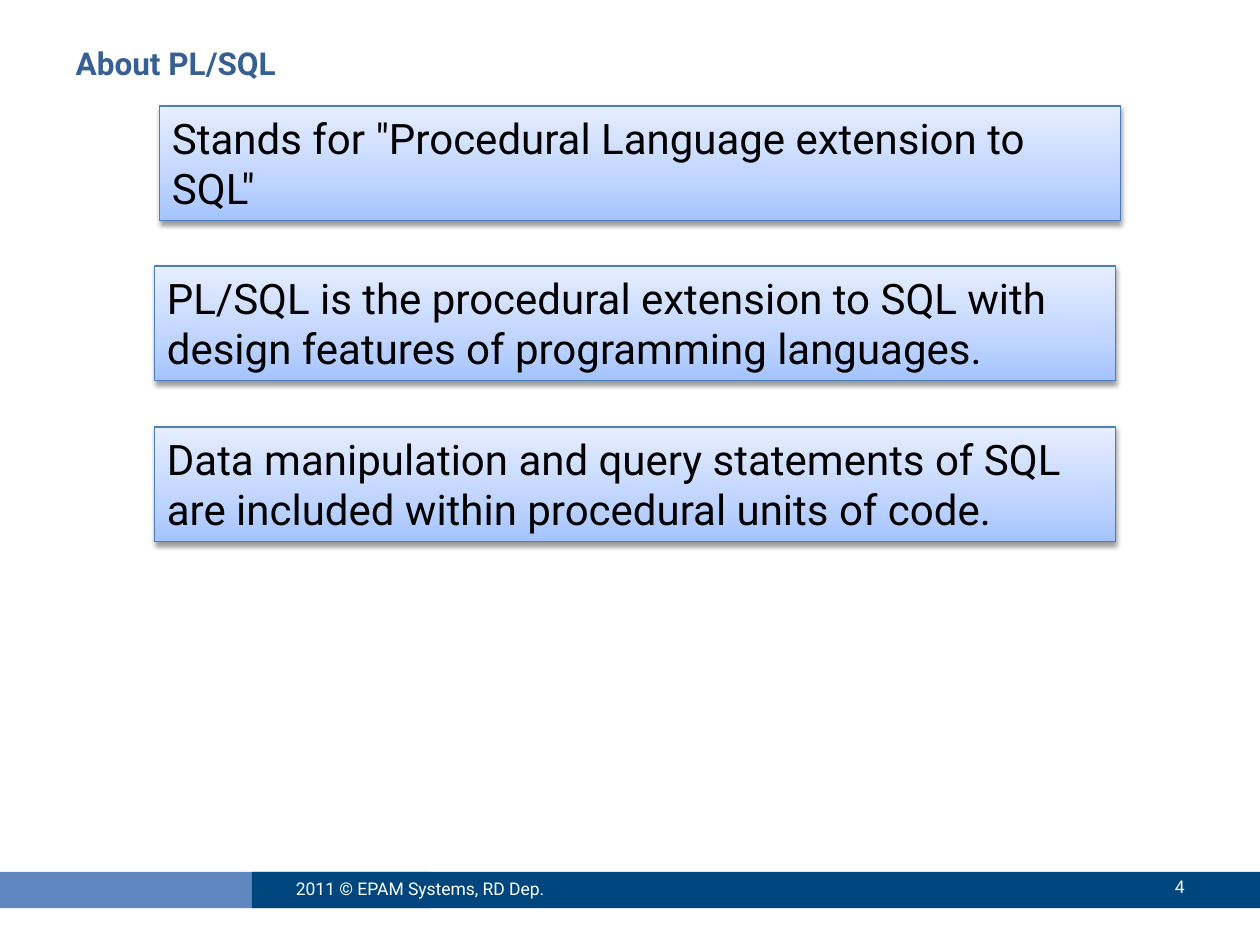
from typing import NamedTuple

from lxml.etree import SubElement
from pptx import Presentation
from pptx.dml.color import RGBColor
from pptx.enum.shapes import MSO_SHAPE as SHAPE
from pptx.enum.text import MSO_ANCHOR as ANCHOR, MSO_AUTO_SIZE as AUTO, PP_ALIGN as ALIGN
from pptx.oxml.ns import qn
from pptx.util import Pt

COLORS = {
    "title": "376092", "white": "FFFFFF", "black": "000000",
    "bar_light": "6087BF", "bar_dark": "00467E", "border": "4B7EBC",
}
GRADIENT = [(0, "A4C4FF"), (35, "BFD4FF"), (100, "E6EEFF")]
FONT = "Roboto"


class Box(NamedTuple):
    left: float
    top: float
    width: float
    height: float


class Bar(NamedTuple):
    box: Box
    color: str


class Label(NamedTuple):
    box: Box
    text: str
    align: ALIGN


class Card(NamedTuple):
    left: float
    top: float
    text: str


BARS = [
    Bar(Box(-1.5, 498.3, 247, 20.7), "bar_light"),
    Bar(Box(144, 498.3, 576, 20.7), "bar_dark"),
]
LABELS = [
    Label(Box(162, 493.2, 192, 28.8), "2011 © EPAM Systems, RD Dep.", ALIGN.LEFT),
    Label(Box(606, 492, 78, 28.8), "4", ALIGN.RIGHT),
]
CARD_WIDTH, CARD_HEIGHT = 549, 65.4
CARDS = [
    Card(91.2, 60.6, 'Stands for "Procedural Language extension to SQL"'),
    Card(88.3, 152, "PL/SQL is the procedural extension to SQL with design features "
                    "of programming languages."),
    Card(88.3, 244, "Data manipulation and query statements of SQL are included "
                    "within procedural units of code."),
]


def points(box: Box) -> list[int]:
    return [Pt(v) for v in box]


def rgb(name: str) -> RGBColor:
    return RGBColor.from_string(COLORS[name])


def set_text(sp, text: str, *, size: float, color: str, bold: bool = False,
             align: ALIGN = ALIGN.LEFT, anchor: ANCHOR = ANCHOR.TOP,
             auto: AUTO = AUTO.NONE) -> None:
    tf = sp.text_frame
    tf.word_wrap = True
    tf.auto_size = auto
    tf.vertical_anchor = anchor
    p = tf.paragraphs[0]
    p.alignment = align
    r = p.add_run()
    r.text = text
    r.font.name = FONT
    r.font.size = Pt(size)
    r.font.bold = bold
    r.font.color.rgb = rgb(color)


def add_bar(s, bar: Bar) -> None:
    sp = s.shapes.add_shape(SHAPE.RECTANGLE, *points(bar.box))
    sp.shadow.inherit = False
    sp.fill.solid()
    sp.fill.fore_color.rgb = rgb(bar.color)
    sp.line.fill.background()


def add_label(s, label: Label) -> None:
    sp = s.shapes.add_textbox(*points(label.box))
    set_text(sp, label.text, size=10, color="white", align=label.align,
             anchor=ANCHOR.MIDDLE)


def add_gradient(sp) -> None:
    grad = SubElement(sp._element.spPr, qn("a:gradFill"), rotWithShape="1")
    stops = SubElement(grad, qn("a:gsLst"))
    for percent, color in GRADIENT:
        stop = SubElement(stops, qn("a:gs"), pos=str(percent * 1000))
        SubElement(stop, qn("a:srgbClr"), val=color)
    SubElement(grad, qn("a:lin"), ang=str(270 * 60000), scaled="0")


def add_shadow(sp) -> None:
    effects = SubElement(sp._element.spPr, qn("a:effectLst"))
    shadow = SubElement(effects, qn("a:outerShdw"), blurRad=str(Pt(3.1)),
                        dist=str(Pt(1.6)), dir=str(90 * 60000), rotWithShape="0")
    color = SubElement(shadow, qn("a:srgbClr"), val=COLORS["black"])
    SubElement(color, qn("a:alpha"), val="38000")


def add_card(s, card: Card) -> None:
    box = Box(card.left, card.top, CARD_WIDTH, CARD_HEIGHT)
    sp = s.shapes.add_shape(SHAPE.RECTANGLE, *points(box))
    add_gradient(sp)
    sp.line.color.rgb = rgb("border")
    sp.line.width = Pt(0.75)
    add_shadow(sp)
    set_text(sp, card.text, size=24, color="black", auto=AUTO.SHAPE_TO_FIT_TEXT)


def main() -> None:
    prs = Presentation()
    prs.slide_width, prs.slide_height = Pt(720), Pt(540)
    s = prs.slides.add_slide(prs.slide_layouts[5])
    for bar in BARS:
        add_bar(s, bar)

    title = s.shapes.title
    title.left, title.top, title.width, title.height = points(Box(36, 21.6, 648, 56))
    set_text(title, "About PL/SQL", size=18, color="title", bold=True)

    for label in LABELS:
        add_label(s, label)
    for card in CARDS:
        add_card(s, card)
    prs.save("out.pptx")


if __name__ == "__main__":
    main()
